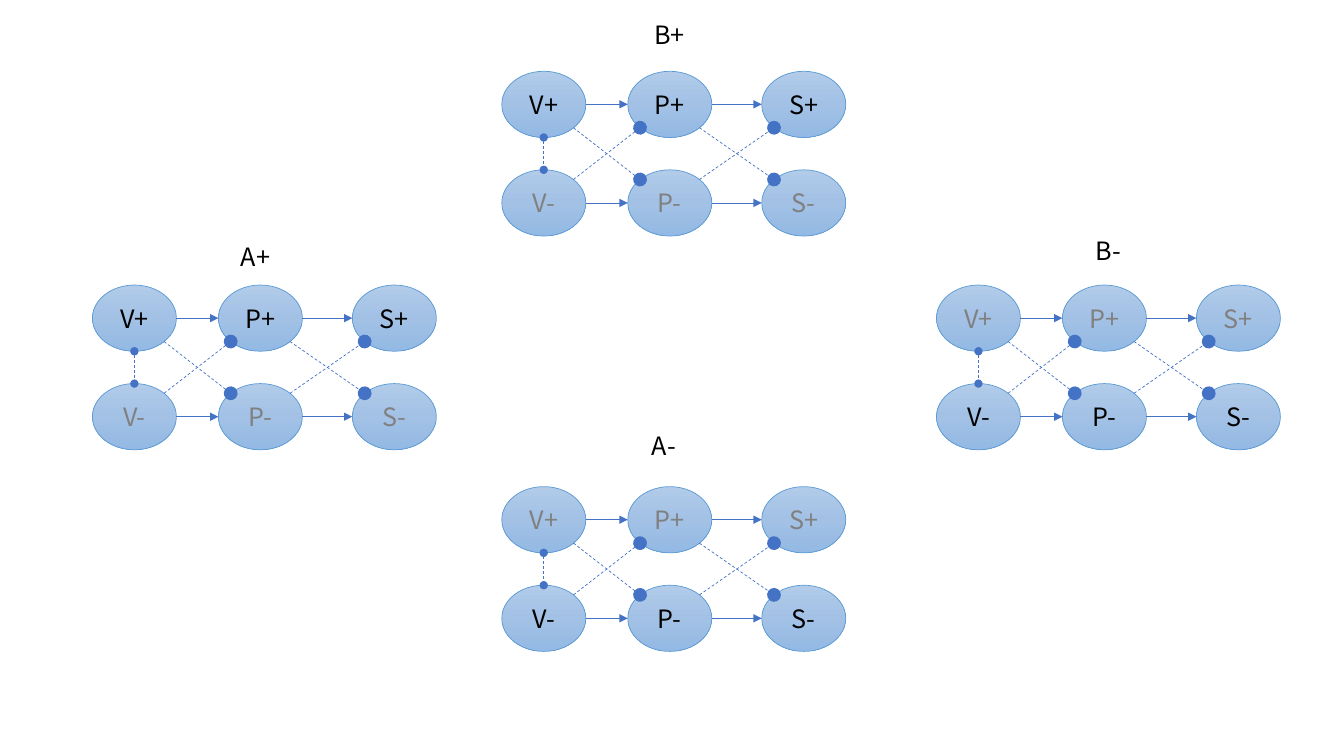
from copy import deepcopy
from itertools import product

from lxml.etree import SubElement
from pptx import Presentation
from pptx.dml.color import RGBColor
from pptx.enum.dml import MSO_LINE
from pptx.enum.shapes import MSO_CONNECTOR, MSO_SHAPE
from pptx.enum.text import MSO_ANCHOR, MSO_AUTO_SIZE, PP_ALIGN
from pptx.oxml.ns import qn
from pptx.util import Pt

COLORS = {
    "top": "B1CBE9",
    "middle": "A3C1E5",
    "bottom": "93B9E4",
    "outline": "5B9BD5",
    "link": "4472C4",
    "active": "000000",
    "inactive": "808080",
}
FONT = "Noto Sans CJK KR"
NODE_W, NODE_H = 60, 47.3
COLUMNS = {"V": 0, "P": 90, "S": 185.7}
ROWS = {"+": 0, "-": 70.4}
DIAGONAL = 0.5 ** 0.5

CIRCUITS = [
    ("A+", 66, 203.6, 98.9, -35.1, 39.6),
    ("B+", 358.4, 50.9, 101.7, -40.8, 39.6),
    ("A-", 358.4, 347.6, 100.2, -43.8, 33.8),
    ("B-", 668.9, 203.6, 106.5, -39.4, 32.4),
]


def color(key):
    """Return the palette colour for a key."""
    return RGBColor.from_string(COLORS[key])


def write(frame, text, tone):
    """Write one run of text into a frame."""
    run = frame.paragraphs[0].add_run()
    run.text = text
    run.font.name = FONT
    run.font.size = Pt(18)
    run.font.color.rgb = color(tone)


def add_node(slide, left, top, text, tone):
    """Draw a labelled oval with a three-stop vertical gradient."""
    node = slide.shapes.add_shape(
        MSO_SHAPE.OVAL, Pt(left), Pt(top), Pt(NODE_W), Pt(NODE_H))
    node.shadow.inherit = False
    node.fill.gradient()
    node.fill.gradient_angle = 270
    stop_list = node.element.spPr.find(".//" + qn("a:gsLst"))
    stop_list.insert(1, deepcopy(stop_list[0]))
    for stop, position, key in zip(
            node.fill.gradient_stops, (0, 0.5, 1), ("top", "middle", "bottom")):
        stop.position = position
        stop.color.rgb = color(key)
    node.line.color.rgb = color("outline")
    node.line.width = Pt(0.5)
    node.text_frame.vertical_anchor = MSO_ANCHOR.MIDDLE
    node.text_frame.paragraphs[0].alignment = PP_ALIGN.CENTER
    write(node.text_frame, text, tone)


def add_link(slide, start, end, tail, size="med", head=None, dashed=False):
    """Draw a thin link between two points with the given end marks."""
    link = slide.shapes.add_connector(
        MSO_CONNECTOR.STRAIGHT, *(Pt(value) for value in (*start, *end)))
    link.line.color.rgb = color("link")
    link.line.width = Pt(0.5)
    if dashed:
        link.line.dash_style = MSO_LINE.DASH
    outline = link.line._get_or_add_ln()
    for tag, mark in (("a:headEnd", head), ("a:tailEnd", tail)):
        if mark:
            SubElement(outline, qn(tag), type=mark, w=size, len=size)
    SubElement(link.element.spPr, qn("a:effectLst"))


def add_circuit(slide, name, left, top, label_dx, label_dy, label_width):
    """Draw a two-row circuit whose active row matches the sign of its name."""
    for sign, stage in product(ROWS, COLUMNS):
        tone = "active" if sign == name[-1] else "inactive"
        add_node(slide, left + COLUMNS[stage], top + ROWS[sign],
                 stage + sign, tone)

    def point(stage, sign, x, y):
        """Locate a point on a node's rim from its unit-circle coordinates."""
        return (left + COLUMNS[stage] + NODE_W / 2 * (1 + x),
                top + ROWS[sign] + NODE_H / 2 * (1 + y))

    add_link(slide, point("V", "+", 0, 1), point("V", "-", 0, -1),
             "oval", head="oval", dashed=True)
    for source, target in ("VP", "PS"):
        for sign, other, side in (("+", "-", DIAGONAL), ("-", "+", -DIAGONAL)):
            add_link(slide, point(source, sign, DIAGONAL, side),
                     point(target, other, -DIAGONAL, -side),
                     "oval", size="lg", dashed=True)
            add_link(slide, point(source, sign, 1, 0),
                     point(target, sign, -1, 0), "triangle")

    label = slide.shapes.add_textbox(
        Pt(left + label_dx), Pt(top + label_dy), Pt(label_width), Pt(29))
    label.text_frame.word_wrap = False
    label.text_frame.auto_size = MSO_AUTO_SIZE.SHAPE_TO_FIT_TEXT
    write(label.text_frame, name, "active")


def main():
    """Build the slide with its four circuits."""
    deck = Presentation()
    deck.slide_width, deck.slide_height = Pt(960), Pt(540)
    slide = deck.slides.add_slide(deck.slide_layouts[6])
    for circuit in CIRCUITS:
        add_circuit(slide, *circuit)
    deck.save("out.pptx")


if __name__ == "__main__":
    main()
